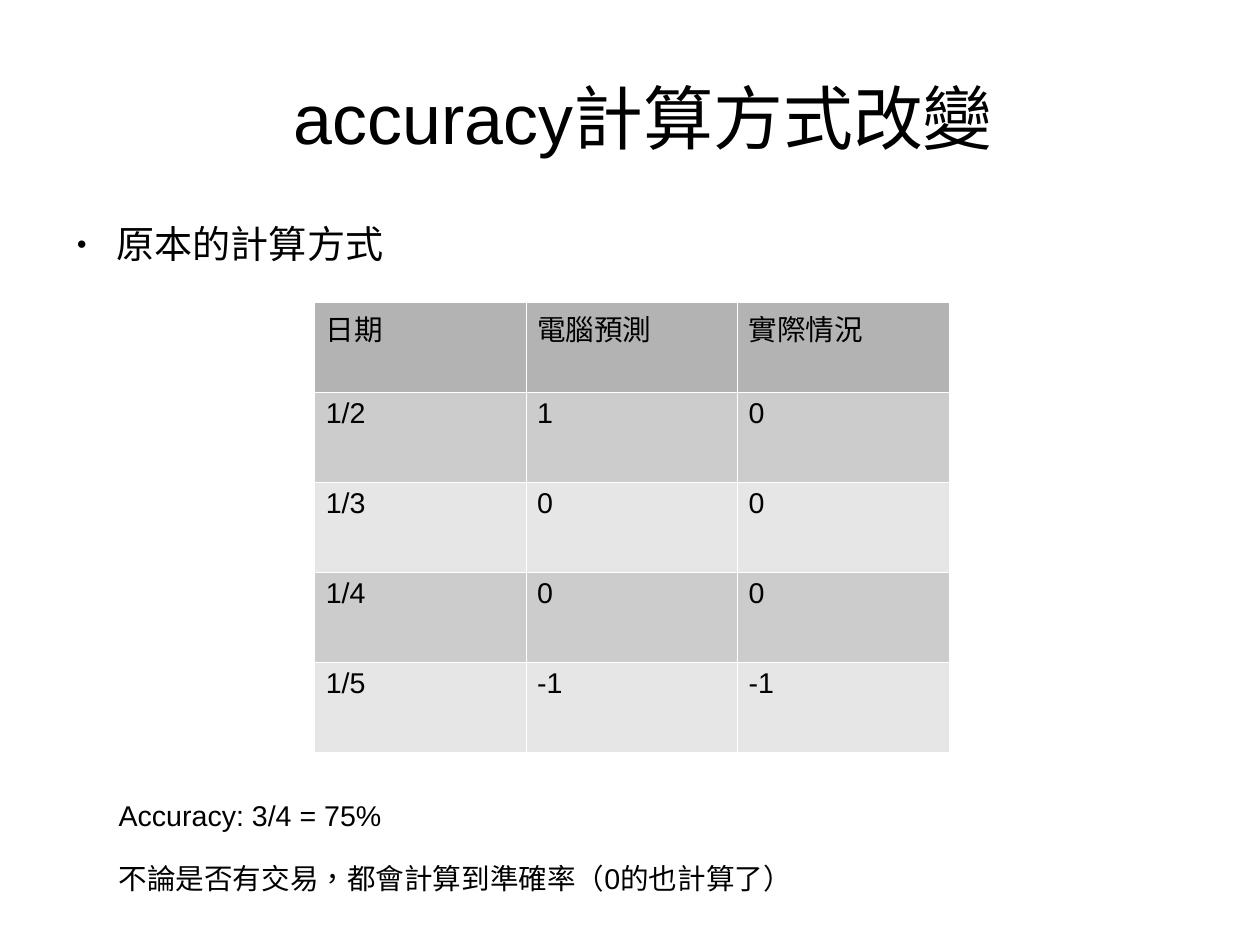
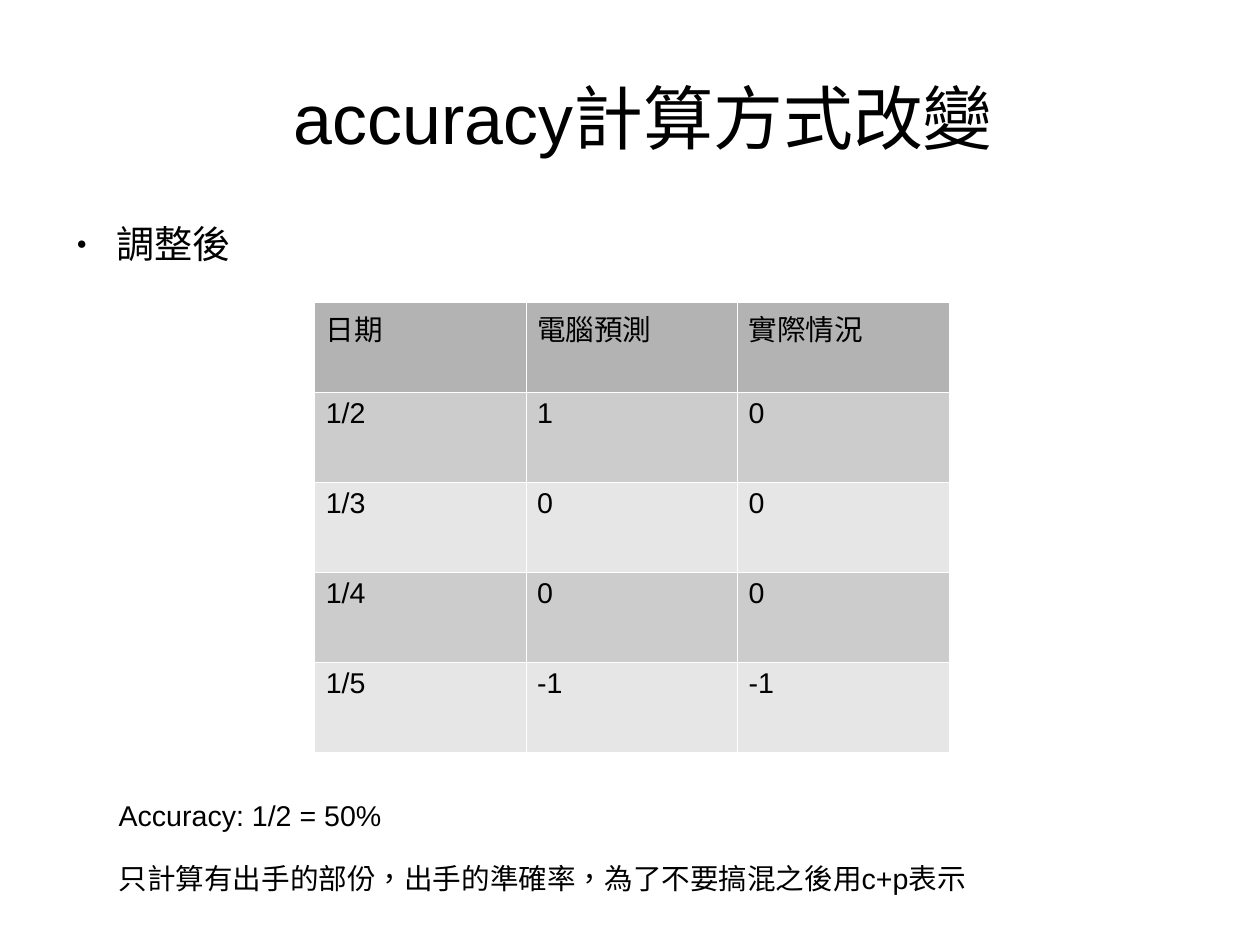
from dataclasses import dataclass

from lxml import etree
from pptx import Presentation
from pptx import util as u
from pptx.dml.color import RGBColor
from pptx.enum import lang, text
from pptx.oxml import ns


@dataclass(frozen=True)
class Theme:
    font: str = "Arial"
    ink: str = "000000"
    rule: str = "FFFFFF"
    head: str = "B3B3B3"
    bands: tuple[str, str] = ("CCCCCC", "E6E6E6")
    title: float = 44
    point: float = 24
    base: float = 18


@dataclass(frozen=True)
class Box:
    left: float
    top: float
    width: float
    height: float

    def emu(self) -> list[u.Length]:
        return [u.Inches(n) for n in (self.left, self.top, self.width, self.height)]


@dataclass(frozen=True)
class Page:
    point: str
    score: str
    note: str


LOOK = Theme()
CM = 1 / 2.54
TITLE = "accuracy計算方式改變"
TITLE_BOX = Box(0.55, 0.33, 9.92, 1.38)
POINT_BOX = Box(0.55, 1.93, 9.92, 4.79)
GRID_BOX = Box(2.75, 2.64, 5.55, 3.94)
SCORE_BOX = Box(0.94, 6.93, 8.27, 0.38)
NOTE_BOX = Box(0.94, 7.48, 8.27, 0.46)
ROWS = (
    ("日期", "電腦預測", "實際情況"),
    ("1/2", "1", "0"),
    ("1/3", "0", "0"),
    ("1/4", "0", "0"),
    ("1/5", "-1", "-1"),
)
PAGES = (
    Page("原本的計算方式", "Accuracy: 3/4 = 75%",
         "不論是否有交易，都會計算到準確率（0的也計算了）"),
    Page("調整後", "Accuracy: 1/2 = 50%",
         "只計算有出手的部份，出手的準確率，為了不要搞混之後用c+p表示"),
)


def write(frame, words: str, size: float):
    para = frame.paragraphs[0]
    run = para.add_run()
    run.text = words
    font = run.font
    font.name = LOOK.font
    font.size = u.Pt(size)
    font.bold = False
    font.color.rgb = RGBColor.from_string(LOOK.ink)
    font.language_id = lang.MSO_LANGUAGE_ID.TRADITIONAL_CHINESE
    return para


def inset(frame, side: float, edge: float) -> None:
    frame.word_wrap = True
    frame.margin_left = frame.margin_right = u.Inches(side)
    frame.margin_top = frame.margin_bottom = u.Inches(edge)


def indent(para, left: float, first: float):
    props = para._p.get_or_add_pPr()
    props.set("marL", str(u.Inches(left)))
    props.set("indent", str(u.Inches(first)))
    return props


def add_title(slide) -> None:
    shape = slide.shapes.title
    shape.left, shape.top, shape.width, shape.height = TITLE_BOX.emu()
    frame = shape.text_frame
    inset(frame, 0, 0)
    frame.auto_size = text.MSO_AUTO_SIZE.NONE
    frame.vertical_anchor = text.MSO_ANCHOR.MIDDLE
    para = write(frame, TITLE, LOOK.title)
    para.alignment = text.PP_ALIGN.CENTER
    indent(para, 0.24, 0)


def add_point(slide, words: str) -> None:
    frame = slide.shapes.add_textbox(*POINT_BOX.emu()).text_frame
    inset(frame, 0, 0)
    para = write(frame, words, LOOK.point)
    para.space_before = u.Pt(10.6)
    props = indent(para, 0.47, -0.35)
    tint = etree.SubElement(props, ns.qn("a:buClr"))
    etree.SubElement(tint, ns.qn("a:srgbClr"), val=LOOK.ink)
    etree.SubElement(props, ns.qn("a:buSzPct"), val="45000")
    etree.SubElement(props, ns.qn("a:buFont"), typeface=LOOK.font)
    etree.SubElement(props, ns.qn("a:buChar"), char="●")


def add_line(slide, box: Box, words: str) -> None:
    frame = slide.shapes.add_textbox(*box.emu()).text_frame
    inset(frame, 0.1, 0.05)
    write(frame, words, LOOK.base)


def edge(cell) -> None:
    props = cell._tc.get_or_add_tcPr()
    for spot, side in enumerate(("lnL", "lnR", "lnT", "lnB")):
        line = etree.Element(ns.qn(f"a:{side}"), w=str(u.Pt(0.06)))
        fill = etree.SubElement(line, ns.qn("a:solidFill"))
        etree.SubElement(fill, ns.qn("a:srgbClr"), val=LOOK.rule)
        props.insert(spot, line)


def add_grid(slide) -> None:
    table = slide.shapes.add_table(len(ROWS), len(ROWS[0]), *GRID_BOX.emu()).table
    for row, words in enumerate(ROWS):
        tint = LOOK.bands[(row - 1) % 2] if row else LOOK.head
        for col, word in enumerate(words):
            cell = table.cell(row, col)
            cell.fill.solid()
            cell.fill.fore_color.rgb = RGBColor.from_string(tint)
            edge(cell)
            write(cell.text_frame, word, LOOK.base)


def main() -> None:
    deck = Presentation()
    deck.slide_width = u.Inches(28 * CM)
    deck.slide_height = u.Inches(21 * CM)
    for page in PAGES:
        slide = deck.slides.add_slide(deck.slide_layouts.get_by_name("Title Only"))
        add_title(slide)
        add_point(slide, page.point)
        add_grid(slide)
        add_line(slide, SCORE_BOX, page.score)
        add_line(slide, NOTE_BOX, page.note)
    deck.save("out.pptx")


if __name__ == "__main__":
    main()
